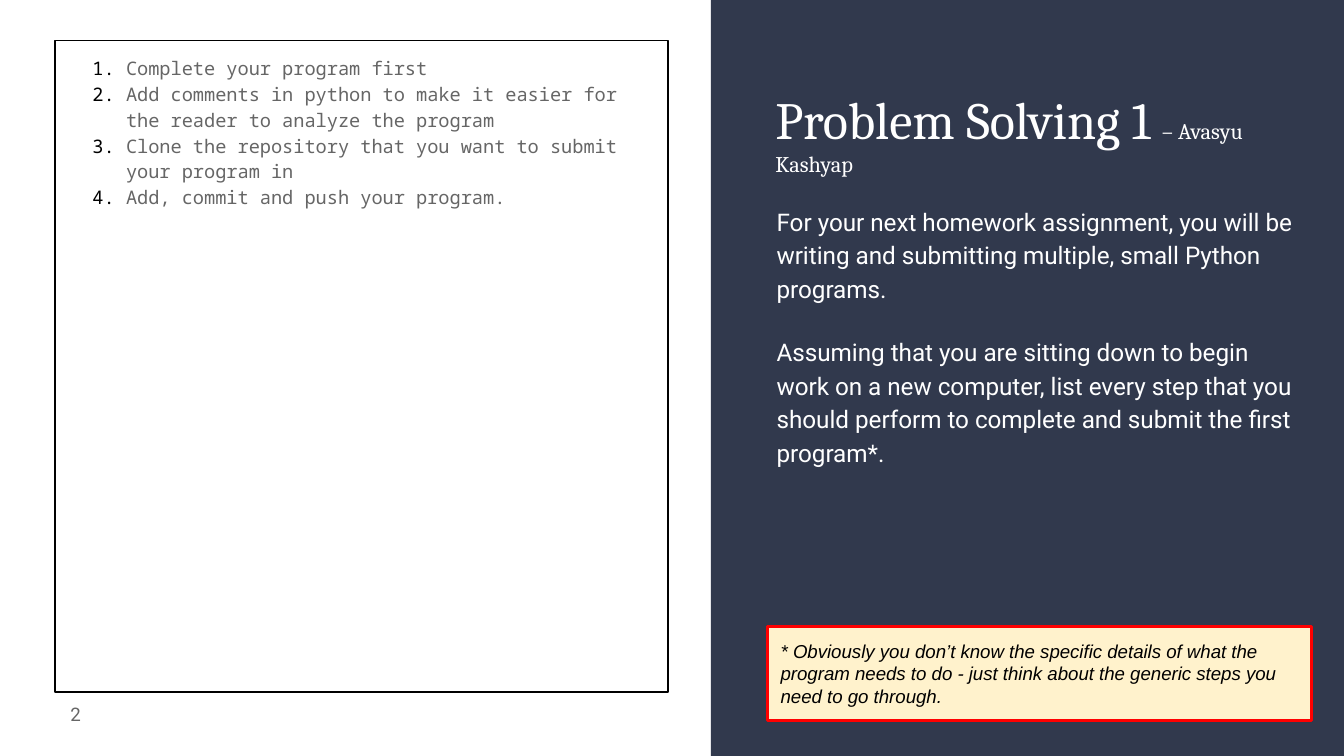
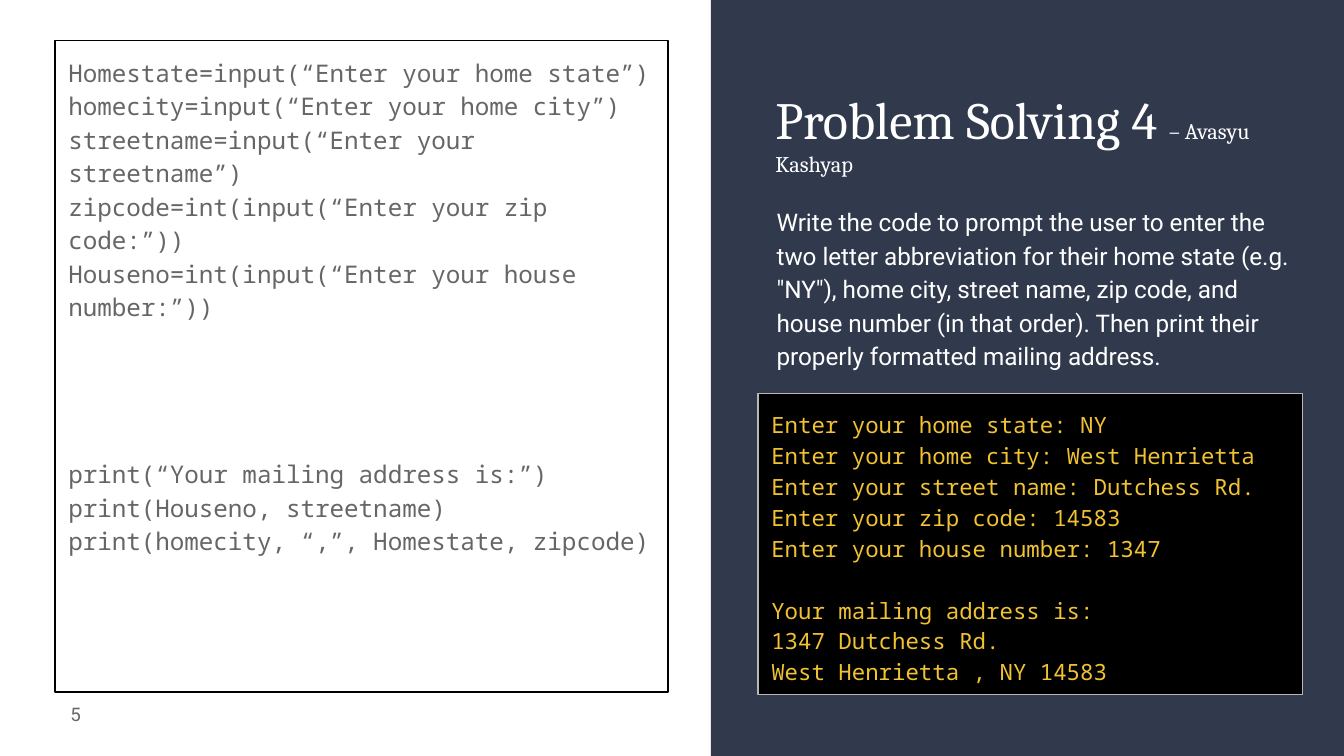
from dataclasses import dataclass

from lxml.etree import SubElement
from pptx import Presentation
from pptx.dml.color import RGBColor
from pptx.enum.shapes import MSO_SHAPE as Preset
from pptx.enum.text import MSO_ANCHOR as Anchor, PP_ALIGN as Align
from pptx.oxml.ns import qn
from pptx.util import Inches, Pt

NAVY = RGBColor(0x31, 0x39, 0x4D)
WHITE = RGBColor(0xFF, 0xFF, 0xFF)
BLACK = RGBColor(0, 0, 0)
GREY = RGBColor(0x66, 0x66, 0x66)
SILVER = RGBColor(0xB7, 0xB7, 0xB7)
CREAM = RGBColor(0xFF, 0xF2, 0xCC)
RED = RGBColor(0xFF, 0, 0)
AMBER = RGBColor(0xF1, 0xC2, 0x32)

SERIF, SANS, MONO, NOTE_FONT = "Cambria", "Roboto", "Noto Sans Mono", "Arial"
LOOSE = 1.15
CELL = Inches(0.1)  # side of one grid square
COLUMNS, ROWS = 100, 56.25


@dataclass
class Box:
    """A region in columns and rows of the slide grid."""
    left: float
    top: float
    width: float
    height: float

    def inner(self, left, top, width, height):
        return Box(self.left + left, self.top + top, width, height)

    def emu(self):
        return [round(n * CELL) for n in (self.left, self.top, self.width, self.height)]


SLIDE = Box(0, 0, COLUMNS, ROWS)
PANEL = SLIDE.inner(52.9, 0, 47.1, ROWS)
ANSWER = SLIDE.inner(4.1, 3, 45.6, 48.5)
NUMBER = SLIDE.inner(1, 51, 6, 4.3)
TEXT_WIDTH = 40.5


def rectangle(slide, box, fill=None, line=None, weight=0.75):
    shape = slide.shapes.add_shape(Preset.RECTANGLE, *box.emu())
    shape.shadow.inherit = False
    if fill is None:
        shape.fill.background()
    else:
        shape.fill.solid()
        shape.fill.fore_color.rgb = fill
    if line is None:
        shape.line.fill.background()
    else:
        shape.line.color.rgb = line
        shape.line.width = Pt(weight)
    return shape


def text_box(slide, box):
    return slide.shapes.add_textbox(*box.emu())


def write(shape, lines, font, size, colour, spacing=1.0, gaps=None,
          anchor=Anchor.TOP, align=Align.LEFT, italic=False):
    """Fill a shape with paragraphs; gaps maps a paragraph to the space above it."""
    frame = shape.text_frame
    frame.word_wrap = True
    frame.vertical_anchor = anchor
    frame.margin_left = frame.margin_right = CELL
    frame.margin_top = frame.margin_bottom = CELL
    for index, line in enumerate(lines):
        paragraph = frame.paragraphs[0] if index == 0 else frame.add_paragraph()
        paragraph.text = line
        paragraph.alignment = align
        paragraph.line_spacing = spacing
        paragraph.space_before = Pt((gaps or {}).get(index, 0))
        paragraph.font.name = font
        paragraph.font.size = Pt(size)
        paragraph.font.color.rgb = colour
        paragraph.font.italic = italic
    return frame.paragraphs


def number_paragraph(paragraph):
    """Turn a paragraph into a numbered item with a hanging indent."""
    props = paragraph.font._element.getparent()
    props.set("marL", str(Inches(0.43)))
    props.set("indent", str(-Inches(0.25)))
    colour = SubElement(props, qn("a:buClr"))
    SubElement(colour, qn("a:srgbClr"), val=str(BLACK))
    marks = [colour,
             SubElement(props, qn("a:buFont"), typeface=MONO),
             SubElement(props, qn("a:buAutoNum"), type="arabicPeriod")]
    for mark in marks:  # bullets come before the default run properties
        props.find(qn("a:defRPr")).addprevious(mark)


def side_panel(slide, box, title, author, prompt):
    """Navy panel with the heading and the task."""
    rectangle(slide, box, NAVY)
    right = box.left + box.width
    slant = slide.shapes.build_freeform(box.left, box.top, scale=CELL)
    slant.add_line_segments([(right, 0), (right, 38.4), (box.left, 53.4)])
    wedge = slant.convert_to_shape()
    wedge.shadow.inherit = False
    wedge.fill.solid()
    wedge.fill.fore_color.rgb = NAVY
    wedge.line.fill.background()

    heading = text_box(slide, box.inner(3.8, 5.5, TEXT_WIDTH, 7))
    paragraph = write(heading, [title + " "], SERIF, 28, WHITE)[0]
    byline = paragraph.add_run()
    byline.text = "– " + author
    byline.font.size = Pt(12)

    task = text_box(slide, box.inner(3.9, 14.1, TEXT_WIDTH, 21.6 if len(prompt) > 1 else 13.5))
    write(task, prompt, SANS, 13, WHITE, LOOSE, gaps={1: 16})


def answer_box(slide, box, lines, size, gaps=None, numbered=False):
    """Outlined box for the answer."""
    frame = rectangle(slide, box, line=BLACK)
    for paragraph in write(frame, lines, MONO, size, GREY, LOOSE, gaps):
        if numbered:
            number_paragraph(paragraph)


def page_number(slide, box, number):
    write(text_box(slide, box), [str(number)], SANS, 10, GREY,
          anchor=Anchor.MIDDLE, align=Align.RIGHT)


def footnote(slide, box, text):
    note = rectangle(slide, box, CREAM, RED, 1.5)
    write(note, [text], NOTE_FONT, 10, BLACK, anchor=Anchor.MIDDLE, italic=True)


def console(slide, box, lines, gaps):
    screen = rectangle(slide, box, BLACK, SILVER)
    write(screen, lines, MONO, 12, AMBER, LOOSE, gaps)


def problem_slide(deck, number, problem, prompt, answer, **answer_style):
    """The layout that every problem shares."""
    slide = deck.slides.add_slide(deck.slide_layouts[6])
    side_panel(slide, PANEL, f"Problem Solving {problem}", "Avasyu Kashyap", prompt)
    answer_box(slide, ANSWER, answer, **answer_style)
    page_number(slide, NUMBER, number)
    return slide


deck = Presentation()
deck.slide_width = round(COLUMNS * CELL)
deck.slide_height = round(ROWS * CELL)

# Problem 1: steps to submit a program
steps = problem_slide(
    deck, 2, 1,
    ["For your next homework assignment, you will be writing and submitting "
     "multiple, small Python programs.",
     "Assuming that you are sitting down to begin work on a new computer, list "
     "every step that you should perform to complete and submit the first program*."],
    ["Complete your program first",
     "Add comments in python to make it easier for the reader to analyze the program",
     "Clone the repository that you want to submit your program in",
     "Add, commit and push your program."],
    size=10, numbered=True)
footnote(steps, PANEL.inner(4.2, 46.6, TEXT_WIDTH, 7),
         "* Obviously you don’t know the specific details of what the program needs "
         "to do - just think about the generic steps you need to go through.")

# Problem 4: mailing address
address = problem_slide(
    deck, 5, 4,
    ["Write the code to prompt the user to enter the two letter abbreviation for "
     "their home state (e.g. \"NY\"), home city, street name, zip code, and house "
     "number (in that order). Then print their properly formatted mailing address."],
    ["Homestate=input(“Enter your home state”)\v"
     "homecity=input(“Enter your home city”)\v"
     "streetname=input(“Enter your streetname”)\v"
     "zipcode=int(input(“Enter your zip code:”))",
     "Houseno=int(input(“Enter your house number:”))",
     "print(“Your mailing address is:”)\v"
     "print(Houseno, streetname)\v"
     "print(homecity, “,”, Homestate, zipcode)"],
    size=13, gaps={2: 71.6})
console(address, PANEL.inner(3.5, 29.3, TEXT_WIDTH, 22.4),
        ["Enter your home state: NY",
         "Enter your home city: West Henrietta",
         "Enter your street name: Dutchess Rd.",
         "Enter your zip code: 14583",
         "Enter your house number: 1347",
         "Your mailing address is:",
         "1347 Dutchess Rd.",
         "West Henrietta , NY 14583"],
        gaps={5: 16.6})

deck.save("out.pptx")
